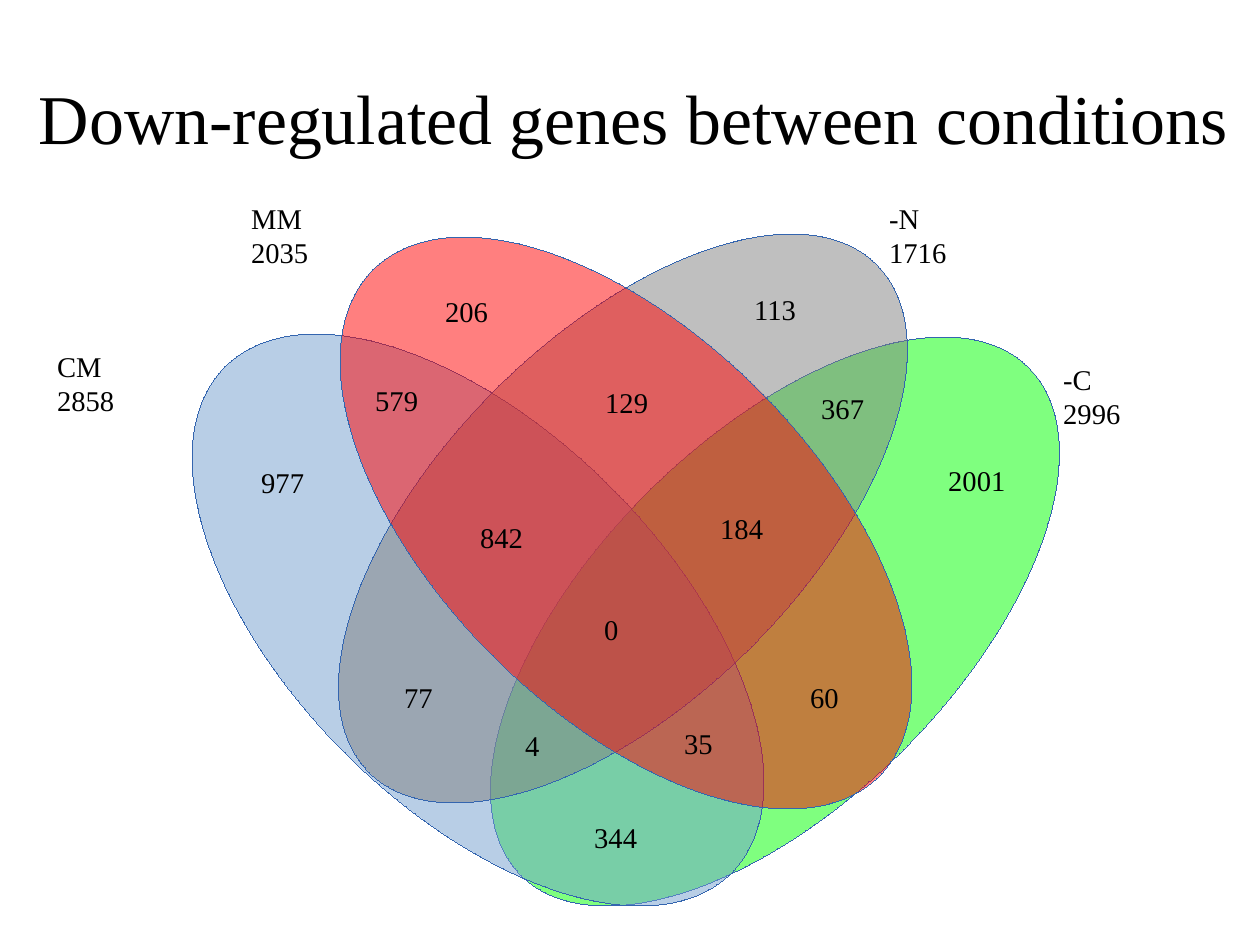
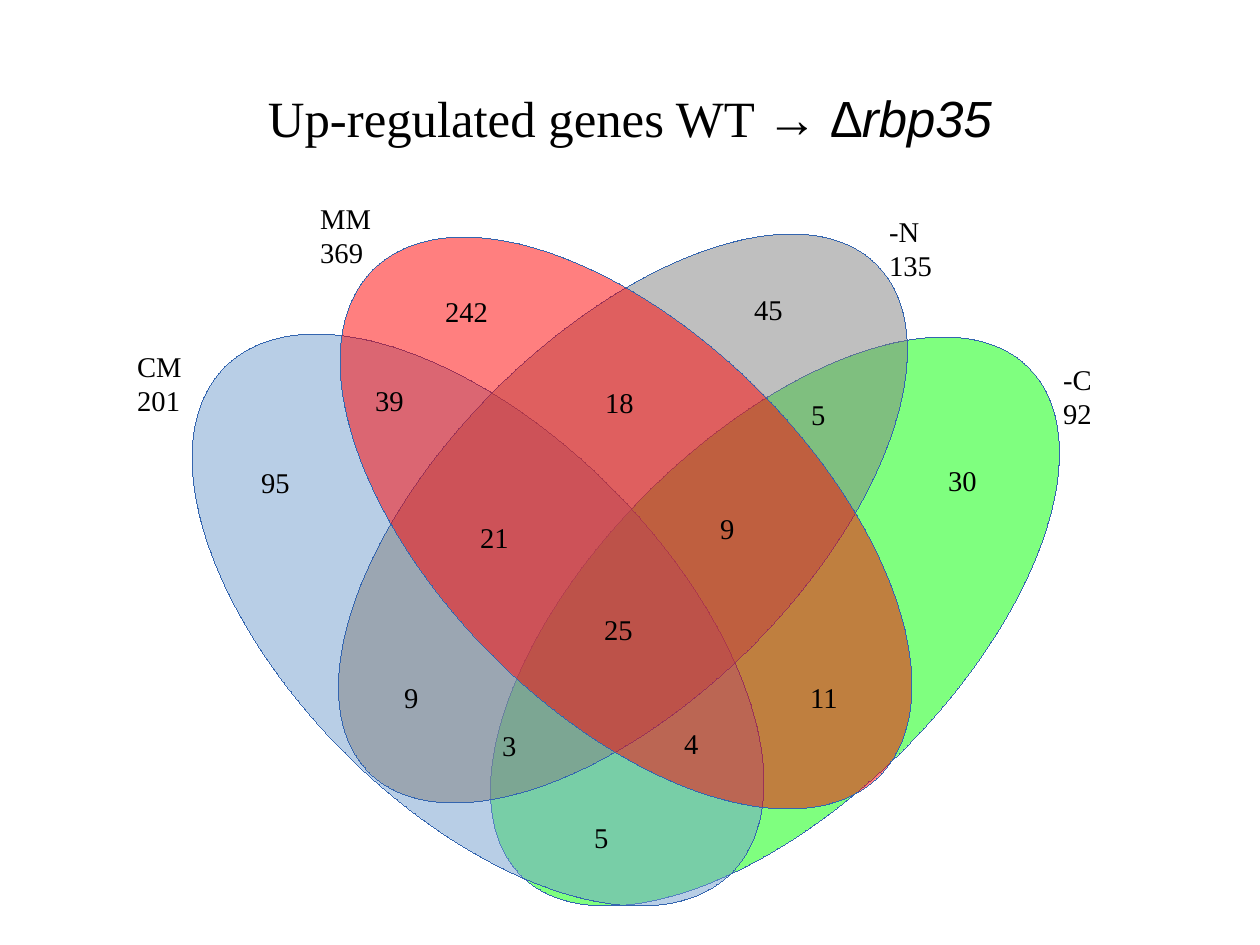
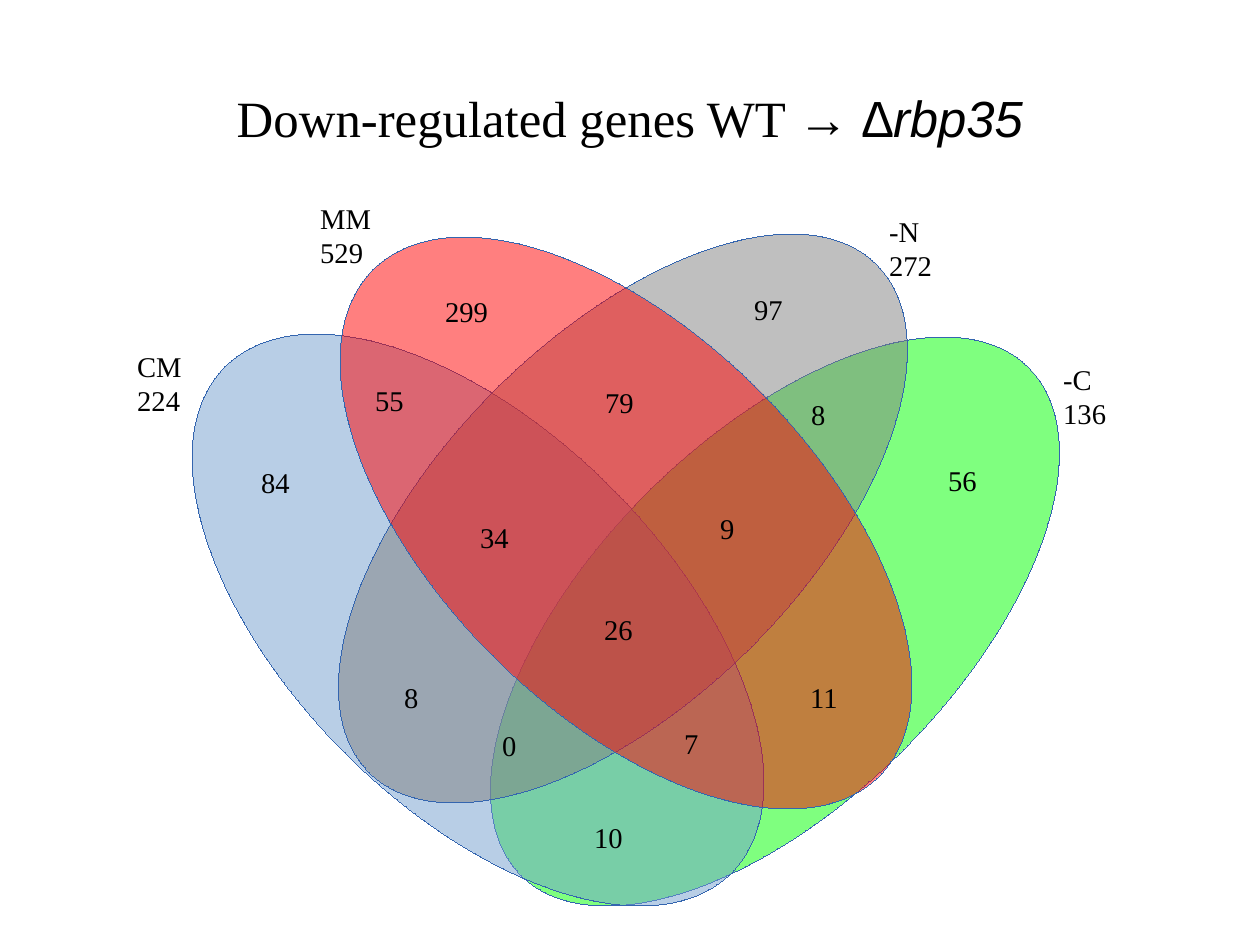
"""Build three four-set Venn diagrams of regulated gene counts."""
from pptx import Presentation
from pptx.dml.color import RGBColor
from pptx.enum.shapes import MSO_SHAPE
from pptx.enum.text import MSO_ANCHOR, PP_ALIGN
from pptx.oxml.ns import qn
from pptx.util import Pt
from lxml import etree

OVAL = MSO_SHAPE.OVAL
MIDDLE = MSO_ANCHOR.MIDDLE
CENTER = PP_ALIGN.CENTER
SCALE = 8000
SERIF = "Times New Roman"
SANS = "Arial"
INK = "000000"
EDGE = "3465AF"
VENN = (46, 195)
HEAD = (63, 38, 1134, 158)
BROAD = (11, 38, 1246, 158)
GENE = "∆rbp35"

OVALS = [
    ("00FF00", (370, 245, 718, 363), 315),
    ("729FCF", (74, 237, 716, 376), 225),
    ("808080", (218, 142, 718, 363), 315),
    ("FF0000", (222, 140, 716, 376), 225),
]
NAMES = {"-C": (1006, 161), "-N": (832, 13), "MM": (263, 0), "CM": (80, 148)}
SPOTS = {
    "CM": (204, 264), "MM": (388, 93), "-N": (697, 91), "-C": (891, 262),
    "CM MM": (318, 182), "CM -N": (347, 479), "CM -C": (537, 619),
    "MM -N": (548, 184), "MM -C": (753, 479), "-N -C": (754, 196),
    "CM MM -N": (423, 319), "CM MM -C": (627, 525),
    "CM -N -C": (445, 527), "MM -N -C": (663, 310),
    "CM MM -N -C": (547, 411),
}
WIDE_NAMES = NAMES | {"-N": (832, 0), "MM": (194, 0), "CM": (0, 148)}
WIDE_SPOTS = SPOTS | {"-N -C": (764, 190), "CM -N -C": (468, 527)}

SLIDES = [
    {
        "title": ["Down-regulated genes between conditions"],
        "size": 44, "head": BROAD, "names": WIDE_NAMES, "spots": WIDE_SPOTS,
        "sums": [2996, 1716, 2035, 2858],
        "counts": [977, 206, 113, 2001, 579, 77, 344, 129, 60, 367,
                   842, 35, 4, 184, 0],
    },
    {
        "title": ["Up-regulated genes WT → ", GENE],
        "size": 32, "head": HEAD, "names": NAMES, "spots": SPOTS,
        "sums": [92, 135, 369, 201],
        "counts": [95, 242, 45, 30, 39, 9, 5, 18, 11, 5, 21, 4, 3, 9, 25],
    },
    {
        "title": ["Down-regulated genes WT → ", GENE],
        "size": 32, "head": HEAD, "names": NAMES, "spots": SPOTS,
        "sums": [136, 272, 529, 224],
        "counts": [84, 299, 97, 56, 55, 8, 10, 79, 11, 8, 34, 7, 0, 9, 26],
    },
]


def px(*nums):
    """Turn px lengths into EMU."""
    return [num * SCALE for num in nums]


def tint(text):
    """Turn a hex string into a colour."""
    return RGBColor.from_string(text)


def style(run, size, face=SERIF):
    """Set the font of a run."""
    run.font.size = Pt(size)
    run.font.name = face
    run.font.color.rgb = tint(INK)


def title(slide, box, parts, size):
    """Draw the centred title, with any gene name in italic sans."""
    frame = slide.shapes.add_textbox(*px(*box)).text_frame
    frame.word_wrap = True
    frame.vertical_anchor = MIDDLE
    frame.margin_left = frame.margin_right = 0
    frame.margin_top = frame.margin_bottom = 0
    para = frame.paragraphs[0]
    para.alignment = CENTER
    for part in parts:
        run = para.add_run()
        run.text = part
        gene = part == GENE
        style(run, size, SANS if gene else SERIF)
        if gene:
            run.font.italic = True


def oval(slide, box, fill, turn):
    """Draw one half-transparent ellipse with a hairline edge."""
    shape = slide.shapes.add_shape(OVAL, *px(*box))
    shape.rotation = turn
    shape.shadow.inherit = False
    shape.fill.solid()
    shape.fill.fore_color.rgb = tint(fill)
    shape.line.color.rgb = tint(EDGE)
    props = shape.element.spPr
    props.find(qn("a:ln")).set("w", "0")
    color = props.find(qn("a:solidFill"))[0]
    etree.SubElement(color, qn("a:alpha")).set("val", "50000")


def label(slide, box, text):
    """Draw a left-aligned label of one or more lines."""
    frame = slide.shapes.add_textbox(*px(*box)).text_frame
    frame.word_wrap = True
    frame.text = text
    for para in frame.paragraphs:
        for run in para.runs:
            style(run, 18)


def venn(slide, spot, data):
    """Draw the ellipses, set names and counts from a top left corner."""
    left, top = spot
    for fill, (x, y, wide, high), turn in OVALS:
        oval(slide, (left + x, top + y, wide, high), fill, turn)
    for (name, (x, y)), total in zip(data["names"].items(), data["sums"]):
        label(slide, (left + x, top + y, 91, 75), f"{name}\n{total}")
    for (x, y), count in zip(data["spots"].values(), data["counts"]):
        wide = 103 if count > 999 else 70
        label(slide, (left + x, top + y, wide, 43), str(count))


def main():
    """Build and save the deck."""
    deck = Presentation()
    deck.slide_width, deck.slide_height = px(1260, 945)
    for data in SLIDES:
        slide = deck.slides.add_slide(deck.slide_layouts[6])
        title(slide, data["head"], data["title"], data["size"])
        venn(slide, VENN, data)
    deck.save("out.pptx")


if __name__ == "__main__":
    main()
